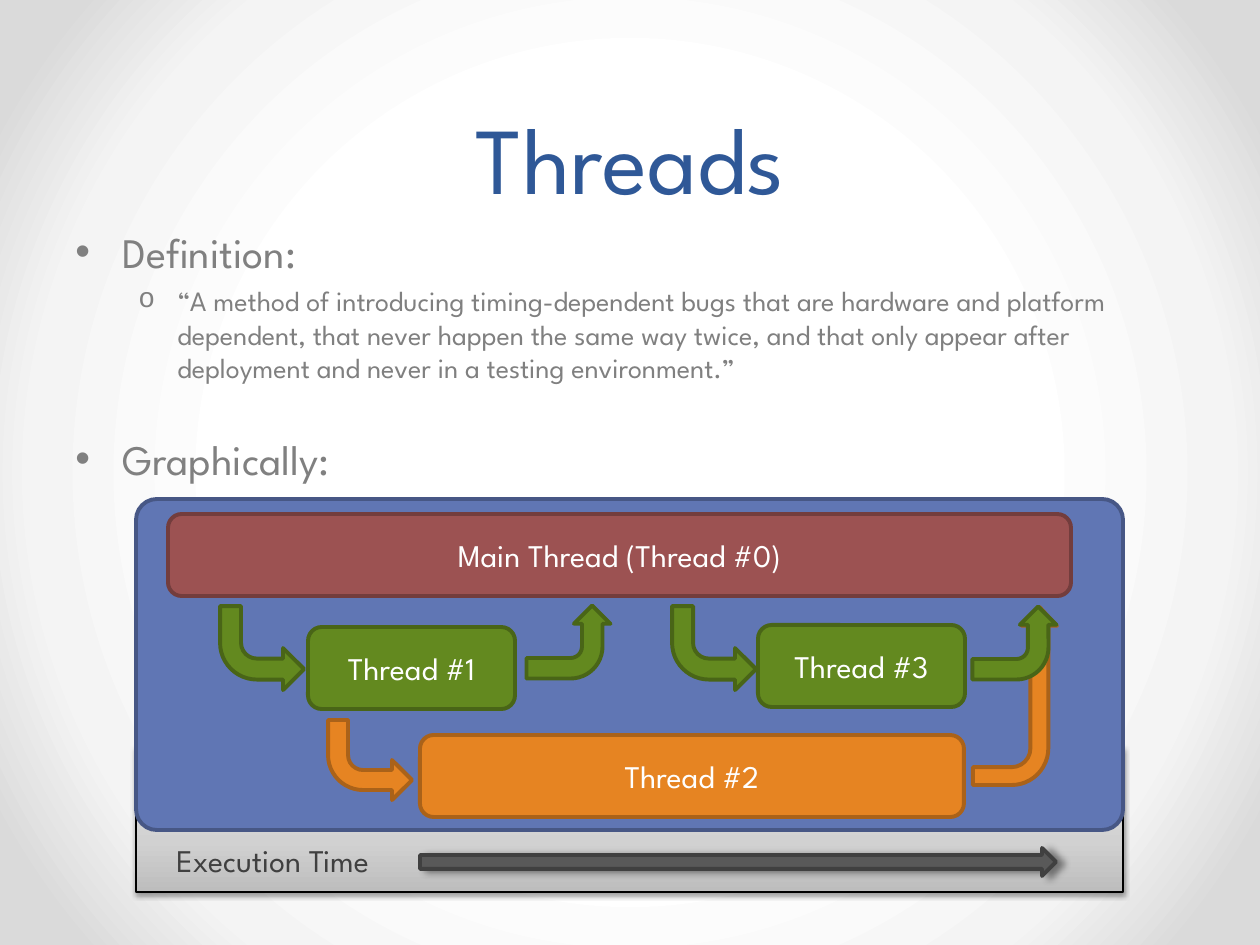
"""Build a slide that defines threads and charts their life over time."""
from dataclasses import dataclass

from lxml import etree
from pptx import Presentation
from pptx.dml.color import RGBColor
from pptx.enum.shapes import MSO_SHAPE
from pptx.enum.text import MSO_ANCHOR, PP_ALIGN
from pptx.oxml import parse_xml
from pptx.oxml.ns import nsdecls, qn
from pptx.util import Pt

ROUND = MSO_SHAPE.ROUNDED_RECTANGLE
BENT = MSO_SHAPE.BENT_ARROW
RIGHT = MSO_SHAPE.RIGHT_ARROW
MIDDLE, BOTTOM, TOP = MSO_ANCHOR.MIDDLE, MSO_ANCHOR.BOTTOM, MSO_ANCHOR.TOP
CENTER, LEFT = PP_ALIGN.CENTER, PP_ALIGN.LEFT
SCALE = 914400 / 126
FONT = "League Spartan"
COLORS = {
    "title": "2F5897", "body": "808080", "white": "FFFFFF", "black": "000000",
    "blue": "6076B4", "navy": "475785", "red": "9C5252", "maroon": "733D3D",
    "green": "63891F", "moss": "496517", "orange": "E68422", "rust": "AA6219",
    "gray": "595959", "dark": "404040", "steel": "BDBDBD", "silver": "D1D1D1",
    "pale": "EEEEEE", "mist": "F4F4F4", "edge": "DADADA",
}
UP = (0.281, 0.25, 0.25, 0.438)
LONG = (0.213, 0.209, 0.223, 0.438)


@dataclass(frozen=True)
class Item:
    box: tuple[int, int, int, int]
    fill: str
    line: str
    text: str = ""
    kind: int = ROUND
    turn: int = 0
    adjust: tuple[float, ...] = ()
    width: float = 2.25


@dataclass(frozen=True)
class Para:
    text: str
    size: int
    color: str
    format: dict
    bullet: tuple[str, str, int, int] | None = None


def px(count: int) -> int:
    return round(count * SCALE)


def paint(color: str) -> RGBColor:
    return RGBColor.from_string(COLORS[color])


def apply(target, values: dict) -> None:
    for name, value in values.items():
        setattr(target, name, value)


def blend(fill, stops: list[tuple[int, str]], shade: str) -> etree._Element:
    """Return gradient XML after marking the fill as a gradient."""
    fill.gradient()
    marks = "".join(f'<a:gs pos="{spot * 1000}"><a:srgbClr val="{COLORS[name]}"/></a:gs>'
                    for spot, name in stops)
    return parse_xml(f'<a:gradFill {nsdecls("a")} rotWithShape="1">'
                     f"<a:gsLst>{marks}</a:gsLst>{shade}</a:gradFill>")


def swap(root, grad) -> None:
    old = next(root.iter(qn("a:gradFill")))
    old.getparent().replace(old, grad)


def shadow(shape, alpha: int, blur: float, dist: float, angle: int) -> None:
    props = shape.element.spPr
    for old in props.findall(qn("a:effectLst")):
        props.remove(old)
    props.append(parse_xml(
        f'<a:effectLst {nsdecls("a")}><a:outerShdw blurRad="{Pt(blur)}" dist="{Pt(dist)}" '
        f'dir="{angle * 60000}" algn="ctr" rotWithShape="0"><a:srgbClr val="{COLORS["black"]}">'
        f'<a:alpha val="{alpha * 1000}"/></a:srgbClr></a:outerShdw></a:effectLst>'))


def write(frame, paras: list[Para], values: dict) -> None:
    apply(frame, values)
    for index, item in enumerate(paras):
        para = frame.add_paragraph() if index else frame.paragraphs[0]
        apply(para, item.format)
        run = para.add_run()
        run.text = item.text
        apply(run.font, {"name": FONT, "size": Pt(item.size)})
        run.font.color.rgb = paint(item.color)
        if item.bullet:
            mark, face, margin, hang = item.bullet
            props = para._p.get_or_add_pPr()
            props.set("marL", str(px(margin)))
            props.set("indent", str(px(-hang)))
            etree.SubElement(props, qn("a:buFont"), typeface=face)
            etree.SubElement(props, qn("a:buChar"), char=mark)


def draw(slide, item: Item):
    shape = slide.shapes.add_shape(item.kind, *map(px, item.box))
    shape.shadow.inherit = False
    shape.fill.solid()
    shape.fill.fore_color.rgb = paint(item.fill)
    shape.line.color.rgb = paint(item.line)
    shape.line.width = Pt(item.width)
    for index, value in enumerate(item.adjust):
        shape.adjustments[index] = value
    if item.turn:
        shape.rotation = item.turn
        shape.element.spPr.find(qn("a:xfrm")).set("flipH", "1")
    if item.text:
        write(shape.text_frame, [Para(item.text, 18, "white", {"alignment": CENTER})],
              {"word_wrap": True, "vertical_anchor": MIDDLE})
    return shape


def label(slide, box: tuple[int, int, int, int], paras: list[Para], values: dict) -> None:
    write(slide.shapes.add_textbox(*map(px, box)).text_frame, paras, values)


def point(text: str, space: int) -> Para:
    return Para(text, 24, "body", {"space_before": Pt(space)}, ("•", "Arial", 47, 47))


GREEN, ORANGE = ("green", "moss"), ("orange", "rust")
ITEMS = [
    Item((136, 499, 987, 331), "blue", "navy", adjust=(0.063,)),
    Item((168, 514, 903, 82), "red", "maroon", "Main Thread (Thread #0)"),
    Item((308, 627, 207, 82), *GREEN, "Thread #1"),
    Item((220, 606, 84, 84), *GREEN, kind=BENT, turn=180),
    Item((532, 600, 73, 84), *GREEN, kind=BENT, turn=90, adjust=UP),
    Item((758, 625, 207, 82), *GREEN, "Thread #3"),
    Item((672, 606, 84, 84), *GREEN, kind=BENT, turn=180),
    Item((420, 735, 544, 82), *ORANGE, "Thread #2"),
    Item((328, 720, 84, 80), *ORANGE, kind=BENT, turn=180),
    Item((926, 654, 178, 84), *ORANGE, kind=BENT, turn=90, adjust=LONG),
    Item((978, 601, 73, 84), *GREEN, kind=BENT, turn=90, adjust=UP),
]
QUOTE = ("“A method of introducing timing-dependent bugs that are hardware and platform "
         "dependent, that never happen the same way twice, and that only appear after "
         "deployment and never in a testing environment.”")
BODY = [
    point("Definition:", 5),
    Para(QUOTE, 16, "body", {"space_before": Pt(4), "level": 1}, ("o", "Courier New", 102, 39)),
    point("Graphically:", 28),
]


def main() -> None:
    deck = Presentation()
    apply(deck, {"slide_width": px(1260), "slide_height": px(945)})
    slide = deck.slides.add_slide(deck.slide_layouts[6])
    glow = blend(slide.background.fill, [(50, "white"), (76, "mist"), (92, "edge")],
                 '<a:path path="circle"><a:fillToRect l="50000" t="50000" r="50000" b="50000"/>'
                 "</a:path>")
    swap(slide.element, glow)
    panel = draw(slide, Item((136, 747, 987, 145), "silver", "black", adjust=(0,), width=0.75))
    swap(panel.element, blend(panel.fill, [(0, "steel"), (35, "silver"), (100, "pale")],
                              '<a:lin ang="16200000" scaled="1"/>'))
    shadow(panel, 38, 3.1, 1.6, 90)
    label(slide, (63, 0, 1134, 220),
          [Para("Threads", 54, "title", {"alignment": CENTER, "line_spacing": Pt(58)})],
          {"word_wrap": True, "vertical_anchor": BOTTOM})
    label(slide, (63, 220, 1134, 703), BODY, {"word_wrap": True, "vertical_anchor": TOP})
    for item in ITEMS:
        draw(slide, item)
    arrow = draw(slide, Item((420, 848, 636, 28), "gray", "dark", kind=RIGHT))
    shadow(arrow, 43, 4, 4, 10)
    label(slide, (164, 835, 256, 50), [Para("Execution Time", 18, "dark", {"alignment": LEFT})],
          {"word_wrap": False})
    deck.save("out.pptx")


main()
